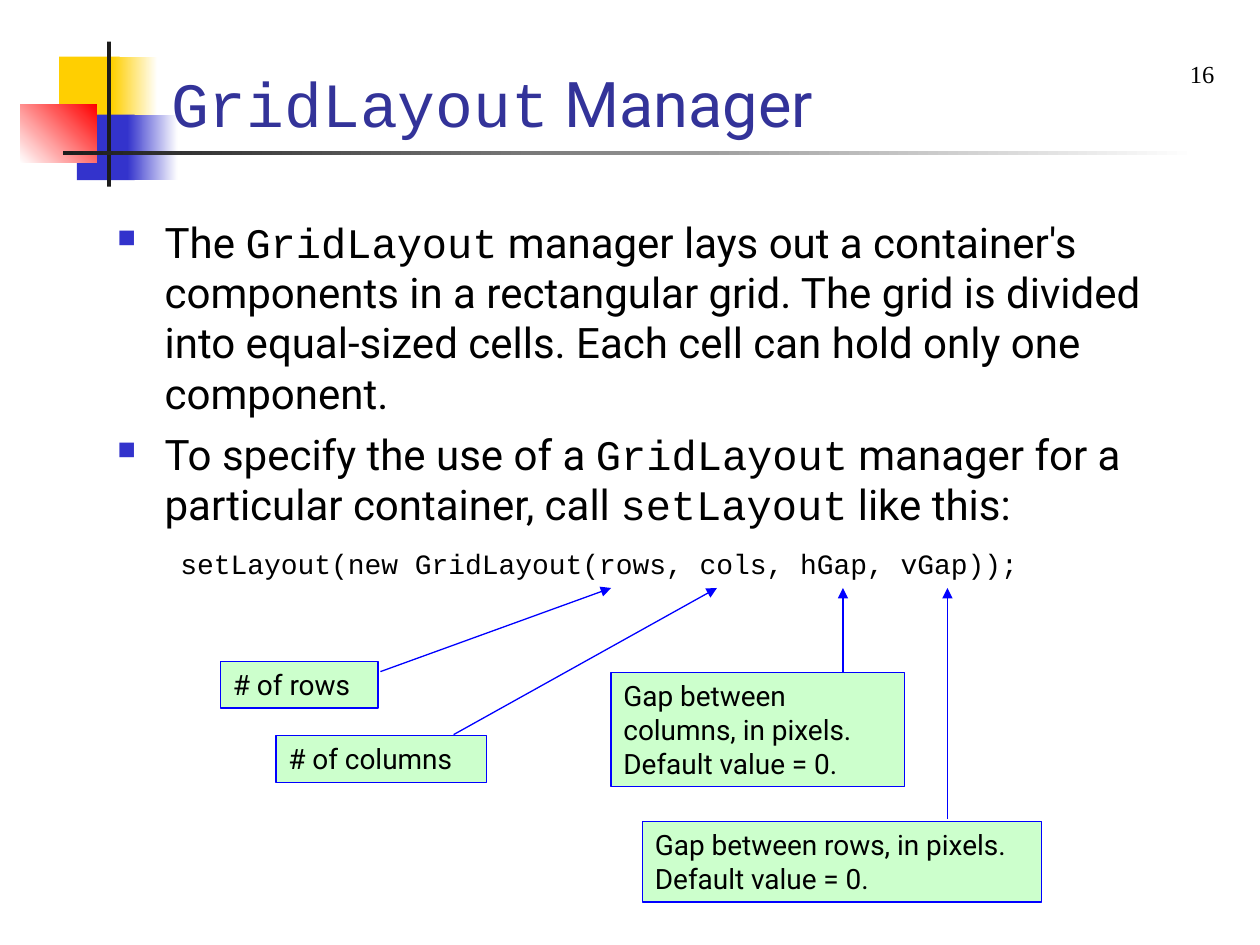
from lxml.etree import SubElement
from pptx import Presentation
from pptx.dml.color import RGBColor
from pptx.enum.shapes import MSO_CONNECTOR as LINE, MSO_SHAPE as SHAPE
from pptx.enum.text import MSO_ANCHOR as ANCHOR, PP_ALIGN as ALIGN
from pptx.oxml.ns import qn
from pptx.util import Pt

GOLD = RGBColor(0xFF, 0xCF, 0x01)
BLUE = RGBColor(0x33, 0x33, 0xCC)
RED = RGBColor(0xFF, 0x00, 0x00)
DARK = RGBColor(0x1C, 0x1C, 0x1C)
NAVY = RGBColor(0x33, 0x33, 0x99)
MINT = RGBColor(0xCC, 0xFF, 0xCC)
INK = RGBColor(0x00, 0x00, 0xFF)
BLACK = RGBColor(0x00, 0x00, 0x00)
WHITE = RGBColor(0xFF, 0xFF, 0xFF)
SANS, MONO, SERIF = "Roboto", "Courier New", "Times New Roman"


def add_rect(slide, x, y, w, h):
    """Add a plain rectangle without shadow or outline."""
    rect = slide.shapes.add_shape(SHAPE.RECTANGLE, Pt(x), Pt(y), Pt(w), Pt(h))
    rect.shadow.inherit = False
    rect.line.fill.background()
    return rect


def paint(shape, first, last=None, angle=0):
    """Fill a shape with one colour or a two-stop gradient."""
    if last is None:
        shape.fill.solid()
        shape.fill.fore_color.rgb = first
        return
    shape.fill.gradient()
    shape.fill.gradient_angle = angle
    for stop, color in zip(shape.fill.gradient_stops, (first, last)):
        stop.color.rgb = color


def add_runs(para, parts, size, color=BLACK):
    """Append (text, font) parts to a paragraph."""
    for text, font in parts:
        run = para.add_run()
        run.text = text
        run.font.name = font
        run.font.size = Pt(size)
        run.font.color.rgb = color


def add_text(slide, x, y, w, h):
    """Add a wrapping text box and return its frame."""
    frame = slide.shapes.add_textbox(Pt(x), Pt(y), Pt(w), Pt(h)).text_frame
    frame.word_wrap = True
    return frame


def set_indent(para, left, hang, bullet=False):
    """Indent a paragraph and give it a square bullet if asked."""
    props = para._p.get_or_add_pPr()
    props.set("marL", str(Pt(left)))
    props.set("indent", str(Pt(hang)))
    if bullet:
        color = SubElement(props, qn("a:buClr"))
        SubElement(color, qn("a:srgbClr")).set("val", str(BLUE))
        SubElement(props, qn("a:buSzPct")).set("val", "60000")
        SubElement(props, qn("a:buChar")).set("char", "■")


def draw_motif(slide, x, y):
    """Draw the coloured blocks and the crossing rules."""
    blocks = [
        (22.3, 8.6, 34.6, 37.4, GOLD),
        (52.5, 8.6, 26, 37.4, GOLD, WHITE),
        (32.4, 41.7, 33.1, 37.4, BLUE),
        (61.2, 41.7, 28.8, 37.4, BLUE, WHITE),
        (0, 36, 43.9, 33.1, WHITE, RED, 45),
        (49.7, 0, 2.2, 82.8, DARK),
        (24.5, 62.6, 648, 2.2, DARK, WHITE),
    ]
    for dx, dy, w, h, *colors in blocks:
        paint(add_rect(slide, x + dx, y + dy, w, h), *colors)


def draw_title(slide, x, y, w, h):
    """Write the heading on the bottom of its box."""
    frame = add_text(slide, x, y, w, h)
    frame.vertical_anchor = ANCHOR.BOTTOM
    parts = [("GridLayout", MONO), (" Manager", SANS)]
    add_runs(frame.paragraphs[0], parts, 36, NAVY)


def draw_body(slide, x, y, w, h):
    """Write the two bullets and the line of code."""
    frame = add_text(slide, x, y, w, h)
    points = [
        [("The ", SANS), ("GridLayout", MONO),
         (" manager lays out a container's components in a rectangular grid. "
          "The grid is divided into equal-sized cells. "
          "Each cell can hold only one component.", SANS)],
        [("To specify the use of a ", SANS), ("GridLayout", MONO),
         (" manager for a particular container, call ", SANS),
         ("setLayout", MONO), (" like this:", SANS)],
    ]
    para = frame.paragraphs[0]
    for parts in points:
        para.space_before = Pt(6)
        set_indent(para, 27, -27, True)
        add_runs(para, parts, 24)
        para = frame.add_paragraph()
    para.level = 1
    para.space_before = para.space_after = Pt(10)
    set_indent(para, 58.5, -22.5)
    code = "setLayout(new GridLayout(rows, cols, hGap, vGap));"
    add_runs(para, [(code, MONO)], 16)


def draw_note(slide, x, y, w, h, text):
    """Draw one green note."""
    note = add_rect(slide, x, y, w, h)
    paint(note, MINT)
    note.line.color.rgb = INK
    note.line.width = Pt(0.74)
    frame = note.text_frame
    frame.word_wrap = True
    frame.vertical_anchor = ANCHOR.TOP
    para = frame.paragraphs[0]
    para.alignment = ALIGN.LEFT
    add_runs(para, [(text, SANS)], 16)


def draw_arrow(slide, x1, y1, x2, y2):
    """Draw a thin line with a head at its end."""
    arrow = slide.shapes.add_connector(
        LINE.STRAIGHT, Pt(x1), Pt(y1), Pt(x2), Pt(y2))
    arrow.line.color.rgb = INK
    arrow.line.width = Pt(0.74)
    SubElement(arrow.line._get_or_add_ln(), qn("a:tailEnd")).set("type", "triangle")
    SubElement(arrow._element.spPr, qn("a:effectLst"))


def draw_notes(slide, x, y):
    """Place the notes and point each at its argument in the code."""
    notes = [
        (0, 42, 90, 26.6, "# of rows"),
        (31.7, 84.5, 120.2, 26.6, "# of columns"),
        (241.2, 133.4, 228.2, 46.1,
         "Gap between rows, in pixels. Default value = 0."),
        (223.2, 48.5, 167.8, 64.8,
         "Gap between columns, in pixels. Default value = 0."),
    ]
    arrows = [(91.4, 47.8, 223.2), (133.2, 83.8, 283.7),
              (355.7, 47.8, 355.7), (415.4, 132, 415.4)]
    for dx, dy, w, h, text in notes:
        draw_note(slide, x + dx, y + dy, w, h, text)
    for dx, dy, end in arrows:
        draw_arrow(slide, x + dx, y + dy, x + end, y)


def draw_number(slide, x, y, w, h):
    """Write the slide number."""
    para = add_text(slide, x, y, w, h).paragraphs[0]
    para.alignment = ALIGN.CENTER
    add_runs(para, [("16", SERIF)], 14)


def main():
    """Build the slide and save it."""
    deck = Presentation()
    deck.slide_width, deck.slide_height = Pt(720), Pt(540)
    slide = deck.slides.add_slide(deck.slide_layouts[6])
    draw_motif(slide, 11.5, 23.8)
    draw_title(slide, 90.7, 24.5, 551.5, 59)
    draw_body(slide, 60, 120, 618, 396)
    draw_notes(slide, 126, 336)
    draw_number(slide, 672, 30, 30, 24)
    deck.save("out.pptx")


main()
